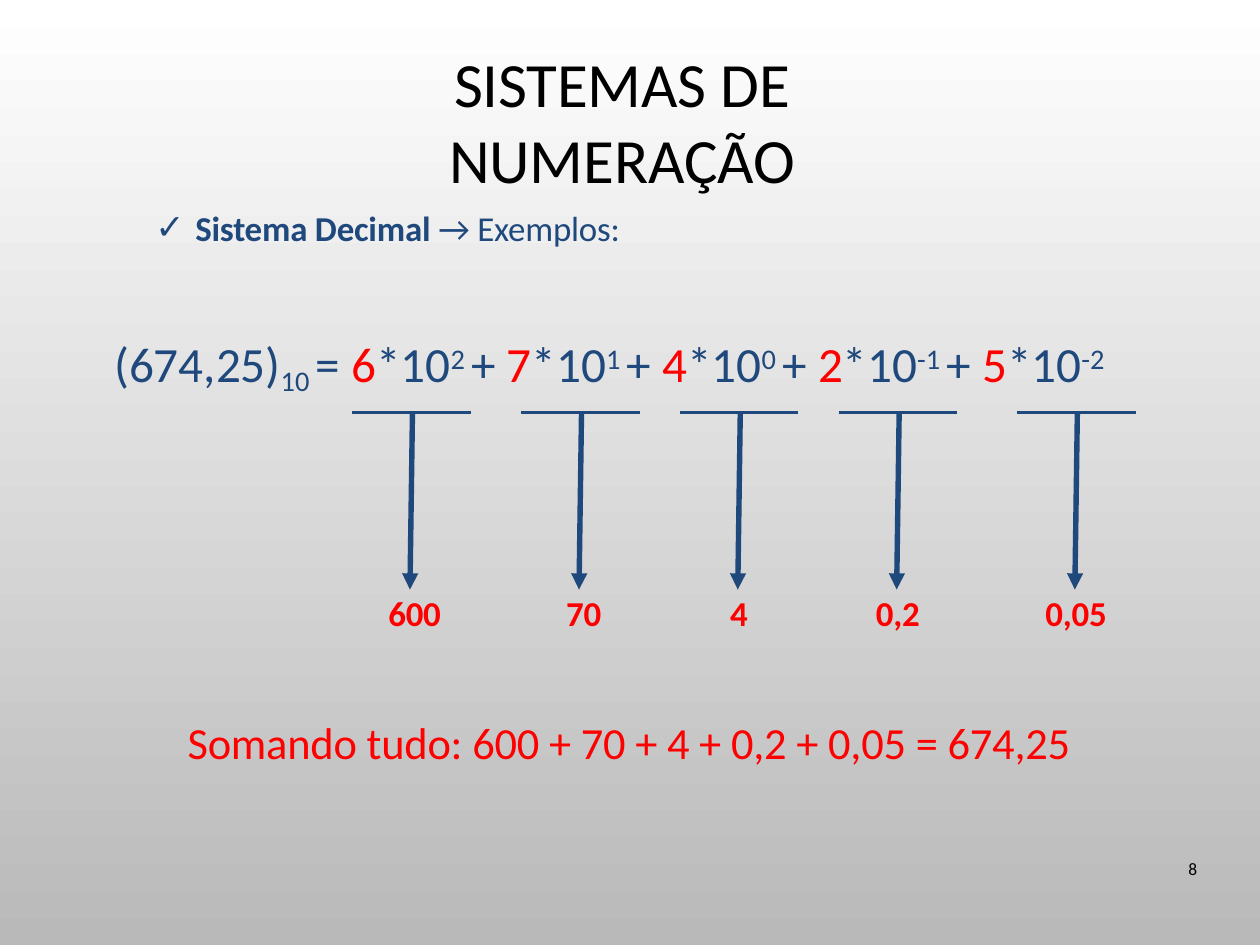
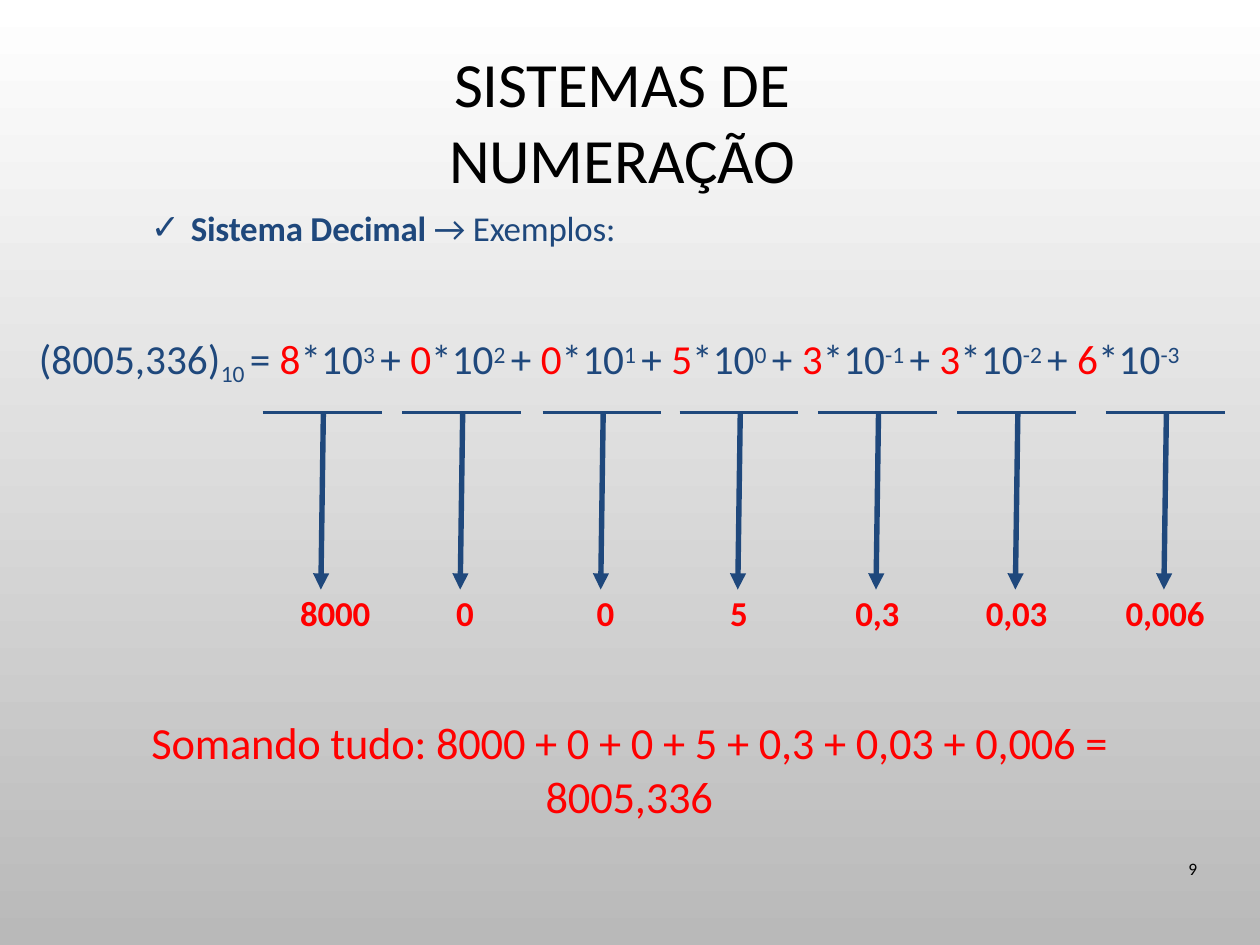
import lxml.etree
import pptx
import pptx.dml.color
import pptx.enum.shapes
import pptx.enum.text
import pptx.oxml.ns
import pptx.util

SLIDE_WIDTH, SLIDE_HEIGHT = 11.03, 8.27
FONT = "Calibri"
BLUE, RED, BLACK = "1F487C", "FF0000", "000000"
BACKGROUND = ("FFFFFF", "B9B9B9")
BAR_WIDTH, BAR_TOP, ARROW_TIP = 9.43, 43.65, 62.39
ARROW_LEAN = 0.1
TIGHT = -10
CENTER = pptx.enum.text.PP_ALIGN.CENTER
RIGHT = pptx.enum.text.PP_ALIGN.RIGHT
TOP = pptx.enum.text.MSO_ANCHOR.TOP
MIDDLE = pptx.enum.text.MSO_ANCHOR.MIDDLE

EXAMPLES = [
    {
        "page": "8", "number": "(674,25)", "sizes": (31, 30.8),
        "body": (8.52, 21.89, 82.86, 19.83), "bullet_indent": 0.77,
        "terms": [
            ("6", "2", "600", 27.92, 0.27),
            ("7", "1", "70", 41.34, 0.27),
            ("4", "0", "4", 53.94, 0),
            ("2", "-1", "0,2", 66.55, 0),
            ("5", "-2", "0,05", 80.69, 0),
        ],
        "sum_box": (14.32, 75.7, 71.17, 5.93),
        "sum": ["Somando tudo: 600 + 70 + 4 + 0,2 + 0,05 = 674,25"],
    },
    {
        "page": "9", "number": "(8005,336)", "sizes": (26, 25.5),
        "body": (2.54, 21.89, 94.83, 18.86), "bullet_indent": 1.39,
        "terms": [
            ("8", "3", "8000", 20.85, 1.04),
            ("0", "2", "0", 31.91, 0.27),
            ("0", "1", "0", 43.06, 0.27),
            ("5", "0", "5", 53.94, 0),
            ("3", "-1", "0,3", 64.91, 0),
            ("3", "-2", "0,03", 75.97, 0),
            ("6", "-3", "0,006", 87.76, 0),
        ],
        "sum_box": (11.33, 75.7, 77.24, 11.61),
        "sum": ["Somando tudo: 8000 + 0 + 0 + 5 + 0,3 + 0,03 + 0,006 =", "8005,336"],
    },
]


def color(value):
    """Turn a hex string into a colour."""
    return pptx.dml.color.RGBColor.from_string(value)


def across(share):
    """Return a percentage of the slide's width."""
    return pptx.util.Inches(SLIDE_WIDTH * share / 100)


def down(share):
    """Return a percentage of the slide's height."""
    return pptx.util.Inches(SLIDE_HEIGHT * share / 100)


def place(shape, box):
    """Move a shape to a box given in percentages of the slide."""
    left, top, width, height = box
    shape.left, shape.top = across(left), down(top)
    shape.width, shape.height = across(width), down(height)


def prepare_frame(shape, anchor=TOP, wrap=True):
    """Remove the margins of a text frame and return it."""
    frame = shape.text_frame
    frame.margin_left = frame.margin_right = 0
    frame.margin_top = frame.margin_bottom = 0
    frame.auto_size = pptx.enum.text.MSO_AUTO_SIZE.SHAPE_TO_FIT_TEXT
    frame.vertical_anchor = anchor
    frame.word_wrap = wrap
    return frame


def add_text_box(slide, box, anchor=TOP, wrap=True):
    """Add a text box and return its frame."""
    shape = slide.shapes.add_textbox(0, 0, 0, 0)
    place(shape, box)
    return prepare_frame(shape, anchor, wrap)


def add_run(paragraph, text, size, hex_color, bold=False, spacing=0, baseline=0):
    """Add one formatted run of text."""
    run = paragraph.add_run()
    run.text = text
    run.font.name, run.font.size = FONT, pptx.util.Pt(size)
    run.font.bold = bold
    run.font.color.rgb = color(hex_color)
    properties = run.font._element
    if spacing:
        properties.set("spc", str(spacing))
    if baseline:
        properties.set("baseline", str(baseline * 1000))


def set_indent(paragraph, margin, first_line, bullet=None):
    """Set the indents in inches and the bullet of a paragraph."""
    properties = paragraph._p.get_or_add_pPr()
    properties.set("marL", str(pptx.util.Inches(margin)))
    properties.set("indent", str(pptx.util.Inches(first_line)))
    tag = "a:buChar" if bullet else "a:buNone"
    element = lxml.etree.SubElement(properties, pptx.oxml.ns.qn(tag))
    if bullet:
        element.set("char", bullet)


def add_line(shapes, start, end, width, arrow=False):
    """Add a straight line, with an arrowhead at its end if wanted."""
    line = shapes.add_connector(
        pptx.enum.shapes.MSO_CONNECTOR.STRAIGHT,
        across(start[0]), down(start[1]), across(end[0]), down(end[1]))
    line.line.color.rgb = color(BLUE)
    line.line.width = pptx.util.Pt(width)
    properties = line._element.spPr
    if arrow:
        outline = properties.find(pptx.oxml.ns.qn("a:ln"))
        lxml.etree.SubElement(outline, pptx.oxml.ns.qn("a:tailEnd"), type="triangle")
    lxml.etree.SubElement(properties, pptx.oxml.ns.qn("a:effectLst"))


def set_background(presentation):
    """Give the slide master its vertical gradient."""
    fill = presentation.slide_master.background.fill
    fill.gradient()
    fill.gradient_angle = 270
    for stop, position, value in zip(fill.gradient_stops, (0, 1), BACKGROUND):
        stop.position = position
        stop.color.rgb = color(value)


def add_title(slide):
    """Fill the title placeholder."""
    place(slide.shapes.title, (29.01, 9.19, 40.71, 7.01))
    paragraph = prepare_frame(slide.shapes.title, MIDDLE).paragraphs[0]
    paragraph.alignment = CENTER
    add_run(paragraph, "SISTEMAS DE NUMERAÇÃO", 39.7, BLACK, spacing=TIGHT)


def add_page_number(slide, page):
    """Add the page number at the lower right."""
    paragraph = add_text_box(slide, (90.3, 89.12, 4.71, 5.32), MIDDLE).paragraphs[0]
    paragraph.alignment = RIGHT
    paragraph.line_spacing = pptx.util.Pt(14.3)
    add_run(paragraph, page, 11, BLACK)


def add_body(slide, example):
    """Fill the body placeholder with the heading and the expansion."""
    body = slide.placeholders[1]
    place(body, example["body"])
    frame = prepare_frame(body)
    heading = frame.paragraphs[0]
    set_indent(heading, example["bullet_indent"], -0.35, "✓")
    heading.space_before = pptx.util.Pt(0)
    add_run(heading, "Sistema Decimal ", 22, BLUE, True, TIGHT)
    add_run(heading, "→ Exemplos:", 22, BLUE, spacing=TIGHT)
    formula = frame.add_paragraph()
    set_indent(formula, 0.06, 0)
    formula.space_before = pptx.util.Pt(53)
    size, script_size = example["sizes"]
    add_run(formula, example["number"], size, BLUE)
    add_run(formula, "10 ", script_size, BLUE, baseline=-20)
    for index, (digit, exponent, *_) in enumerate(example["terms"]):
        add_run(formula, "+ " if index else "= ", size, BLUE)
        add_run(formula, digit, size, RED)
        add_run(formula, "*10", size, BLUE)
        last = index == len(example["terms"]) - 1
        add_run(formula, exponent if last else exponent + " ", script_size, BLUE, baseline=26)


def add_term_arrow(slide, value, left, nudge):
    """Add the bar and arrow under a term, and its value below."""
    center = left + BAR_WIDTH / 2
    group = slide.shapes.add_group_shape()
    add_line(group.shapes, (center + ARROW_LEAN, BAR_TOP),
             (center - ARROW_LEAN, ARROW_TIP), 3.4, arrow=True)
    add_line(group.shapes, (left, BAR_TOP), (left + BAR_WIDTH, BAR_TOP), 2.25)
    commas = value.count(",")
    width = 0.18 + 1.45 * (len(value) - commas) + 0.73 * commas
    box = (center + nudge - width / 2, 62.64, width, 4.72)
    paragraph = add_text_box(slide, box, wrap=False).paragraphs[0]
    paragraph.alignment = CENTER
    add_run(paragraph, value, 22, RED, True, TIGHT)


def add_sum(slide, example):
    """Add the total line by line."""
    frame = add_text_box(slide, example["sum_box"])
    for index, text in enumerate(example["sum"]):
        paragraph = frame.add_paragraph() if index else frame.paragraphs[0]
        paragraph.alignment = CENTER
        add_run(paragraph, text, 28, RED, spacing=TIGHT)


def add_example(presentation, example):
    """Add one slide that expands a decimal number."""
    slide = presentation.slides.add_slide(presentation.slide_layouts[1])
    add_title(slide)
    add_page_number(slide, example["page"])
    add_body(slide, example)
    for _, _, value, left, nudge in example["terms"]:
        add_term_arrow(slide, value, left, nudge)
    add_sum(slide, example)


def main():
    """Build and save the presentation."""
    presentation = pptx.Presentation()
    presentation.slide_width = across(100)
    presentation.slide_height = down(100)
    set_background(presentation)
    for example in EXAMPLES:
        add_example(presentation, example)
    presentation.save("out.pptx")


if __name__ == "__main__":
    main()
